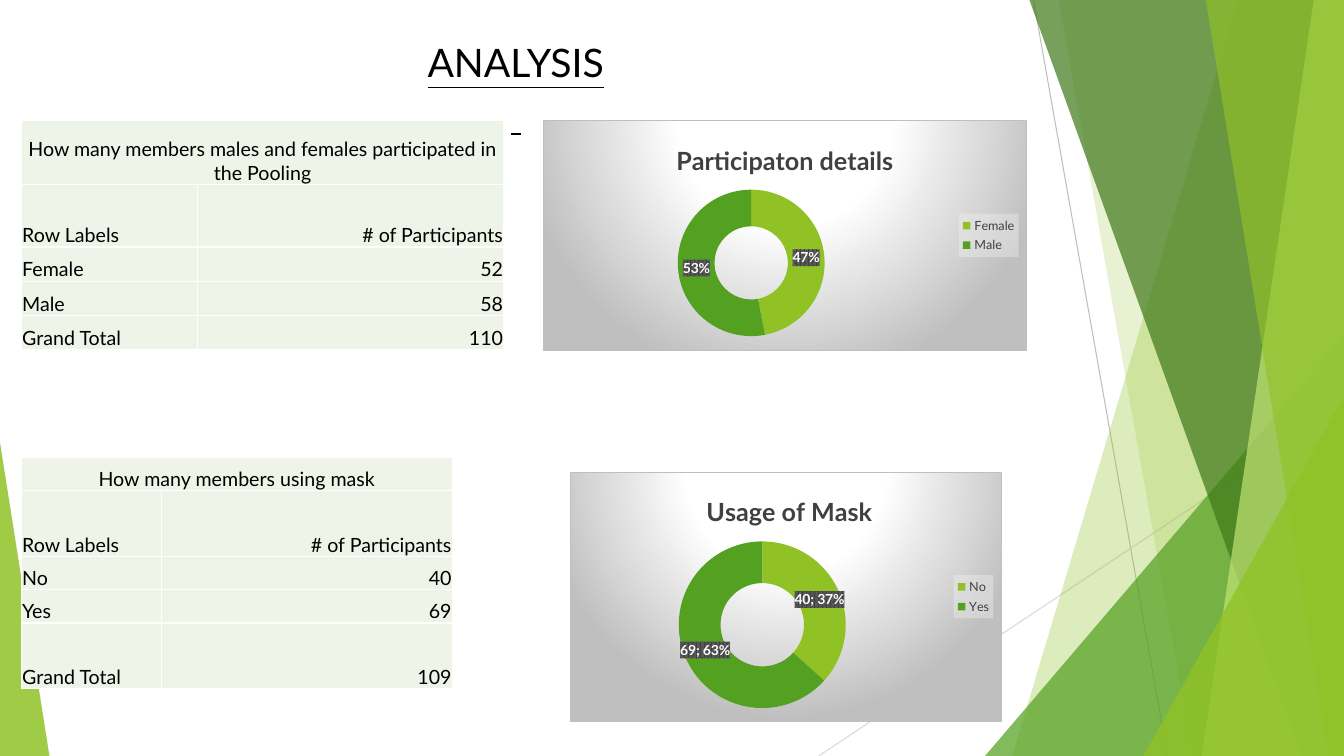
from lxml import etree
from pptx import Presentation
from pptx.chart.data import CategoryChartData
from pptx.dml.color import RGBColor
from pptx.enum.chart import XL_CHART_TYPE, XL_LEGEND_POSITION
from pptx.enum.shapes import MSO_CONNECTOR, MSO_SHAPE
from pptx.enum.text import MSO_ANCHOR, PP_ALIGN
from pptx.oxml import parse_xml
from pptx.oxml.ns import qn
from pptx.util import Inches, Pt

DOUGHNUT = XL_CHART_TYPE.DOUGHNUT
LEGEND_RIGHT = XL_LEGEND_POSITION.RIGHT
STRAIGHT = MSO_CONNECTOR.STRAIGHT
TRIANGLE = MSO_SHAPE.ISOSCELES_TRIANGLE
TOP, BOTTOM = MSO_ANCHOR.TOP, MSO_ANCHOR.BOTTOM
LEFT, CENTER, RIGHT = PP_ALIGN.LEFT, PP_ALIGN.CENTER, PP_ALIGN.RIGHT

FONT = "Lato"
BLACK = RGBColor(0x00, 0x00, 0x00)
WHITE = RGBColor(0xFF, 0xFF, 0xFF)
CHARCOAL = RGBColor(0x40, 0x40, 0x40)
SILVER = RGBColor(0xBF, 0xBF, 0xBF)
PALE_GREY = RGBColor(0xD9, 0xD9, 0xD9)
LIME = RGBColor(0x90, 0xC2, 0x26)
LIGHT_LIME = RGBColor(0xC0, 0xE4, 0x74)
GREEN = RGBColor(0x54, 0xA0, 0x21)
DARK_GREEN = RGBColor(0x3F, 0x78, 0x19)
MINT = RGBColor(0xEE, 0xF4, 0xE8)

WIDTH, HEIGHT = 13.33, 7.5
NAMESPACES = (
    'xmlns:a="http://schemas.openxmlformats.org/drawingml/2006/main" '
    'xmlns:c="http://schemas.openxmlformats.org/drawingml/2006/chart"'
)
CHART_BACKGROUND = f"""<c:spPr {NAMESPACES}><a:gradFill><a:gsLst>
<a:gs pos="0"><a:srgbClr val="{WHITE}"/></a:gs>
<a:gs pos="39000"><a:srgbClr val="{WHITE}"/></a:gs>
<a:gs pos="100000"><a:srgbClr val="{SILVER}"/></a:gs></a:gsLst>
<a:path path="circle"><a:fillToRect l="50000" t="-80000" r="50000" b="180000"/></a:path>
</a:gradFill><a:ln w="9525"><a:solidFill><a:srgbClr val="{SILVER}"/></a:solidFill></a:ln></c:spPr>"""
LABEL_BACKGROUND = f"""<c:spPr {NAMESPACES}><a:pattFill prst="pct75">
<a:fgClr><a:srgbClr val="{CHARCOAL}"/></a:fgClr><a:bgClr><a:srgbClr val="595959"/></a:bgClr>
</a:pattFill><a:ln><a:noFill/></a:ln></c:spPr>"""
LEGEND_BACKGROUND = f"""<c:spPr {NAMESPACES}><a:solidFill><a:srgbClr val="F2F2F2">
<a:alpha val="39000"/></a:srgbClr></a:solidFill></c:spPr>"""


def style_font(font, size, color=BLACK, bold=False, underline=False):
    font.name, font.size = FONT, Pt(size)
    font.bold, font.underline = bold, underline
    font.color.rgb = color


def write(frame, text, size=14, align=LEFT, **style):
    paragraph = frame.paragraphs[0]
    paragraph.alignment = align
    run = paragraph.add_run()
    run.text = text
    style_font(run.font, size, **style)


def draw_line(slide, start, end, color, width):
    line = slide.shapes.add_connector(STRAIGHT, *(Inches(v) for v in start + end))
    line.line.color.rgb = color
    line.line.width = Pt(width)
    etree.SubElement(line._element.spPr, qn("a:effectLst"))


def paint(facet, color, opacity):
    facet.shadow.inherit = False
    facet.line.fill.background()
    facet.fill.solid()
    facet.fill.fore_color.rgb = color
    tint = facet._element.spPr.find(qn("a:solidFill"))[0]
    etree.SubElement(tint, qn("a:alpha")).set("val", str(opacity * 1000))


def add_band(slide, top_x, bottom_x, color, opacity):
    outline = slide.shapes.build_freeform(Inches(top_x), 0)
    corners = [(WIDTH, 0), (WIDTH, HEIGHT), (bottom_x, HEIGHT)]
    outline.add_line_segments([(Inches(x), Inches(y)) for x, y in corners])
    paint(outline.convert_to_shape(), color, opacity)


def add_wedge(slide, left, top, width, apex, color, opacity):
    box = (left, top, width, HEIGHT - top)
    wedge = slide.shapes.add_shape(TRIANGLE, *(Inches(v) for v in box))
    wedge.adjustments[0] = apex
    paint(wedge, color, opacity)


def add_backdrop(slide):
    draw_line(slide, (10.25, 0), (11.58, HEIGHT), SILVER, 0.75)
    draw_line(slide, (WIDTH, 4.03), (8.12, HEIGHT), PALE_GREY, 0.75)
    add_band(slide, 12.28, 10.04, LIME, 30)
    add_band(slide, 10.5, 11.83, LIME, 20)
    add_wedge(slide, 9.77, 3.33, 3.56, 1, GREEN, 72)
    add_band(slide, 10.21, 12.91, DARK_GREEN, 70)
    add_band(slide, 13.03, 11.92, LIGHT_LIME, 70)
    add_band(slide, 11.96, 13.18, LIME, 65)
    add_wedge(slide, 11.34, 3.93, 1.99, 1, LIME, 80)
    add_wedge(slide, 0, 4.39, 0.49, 0, LIME, 85)


def add_heading(slide, left, top, width, height):
    title = slide.shapes.title
    title.left, title.top = Inches(left), Inches(top)
    title.width, title.height = Inches(width), Inches(height)
    title.text_frame.vertical_anchor = TOP
    write(title.text_frame, "ANALYSIS", 28, CENTER, underline=True)
    middle = left + width / 2
    draw_line(slide, (middle - 0.05, top + 1), (middle + 0.05, top + 1), BLACK, 1.5)


def style_cell(cell):
    cell.fill.solid()
    cell.fill.fore_color.rgb = MINT
    cell.vertical_anchor = BOTTOM
    cell.margin_left = cell.margin_right = cell.margin_top = Inches(0.01)
    cell.margin_bottom = 0
    properties = cell._tc.get_or_add_tcPr()
    for index, side in enumerate(("lnL", "lnR", "lnT", "lnB")):
        properties.insert(index, parse_xml(
            f'<a:{side} {NAMESPACES} w="12700"><a:solidFill>'
            f'<a:srgbClr val="{WHITE}"/></a:solidFill></a:{side}>'))


def add_counts_table(slide, left, top, columns, heights, question, counts):
    box = (left, top, sum(columns), sum(heights))
    table = slide.shapes.add_table(
        len(heights), len(columns), *(Inches(v) for v in box)).table
    for column, width in zip(table.columns, columns):
        column.width = Inches(width)
    for row, height in zip(table.rows, heights):
        row.height = Inches(height)
    for cell in table.iter_cells():
        style_cell(cell)
    table.cell(0, 0).merge(table.cell(0, 1))
    write(table.cell(0, 0).text_frame, question, align=CENTER)
    total = ("Grand Total", sum(counts.values()))
    entries = [("Row Labels", "# of Participants"), *counts.items(), total]
    for row, (label, value) in enumerate(entries, 1):
        write(table.cell(row, 0).text_frame, label)
        write(table.cell(row, 1).text_frame, str(value), align=RIGHT)


def set_layout(part, index, target="", **fractions):
    for existing in part.findall(qn("c:layout")):
        part.remove(existing)
    modes = "".join(f'<c:{axis}Mode val="edge"/>' for axis in "xy")
    values = "".join(f'<c:{key} val="{v:.4f}"/>' for key, v in fractions.items())
    part.insert(index, parse_xml(
        f"<c:layout {NAMESPACES}><c:manualLayout>{target}{modes}{values}"
        "</c:manualLayout></c:layout>"))


def add_share_chart(slide, left, top, width, height, heading, shares,
                    heading_left, ring_left, ring_size, show_value):
    data = CategoryChartData()
    data.categories = list(shares)
    data.add_series("Series 1", list(shares.values()))
    box = (left, top, width, height)
    chart = slide.shapes.add_chart(DOUGHNUT, *(Inches(v) for v in box), data).chart
    style_font(chart.font, 10)
    chart._chartSpace.find(qn("c:txPr")).addprevious(parse_xml(CHART_BACKGROUND))

    chart.has_title = True
    write(chart.chart_title.text_frame, heading, 18, CENTER, color=CHARCOAL, bold=True)
    set_layout(chart.chart_title._element, 1, x=heading_left / width, y=0.17 / height)
    set_layout(chart._chartSpace.chart.plotArea, 0, '<c:layoutTarget val="inner"/>',
               x=ring_left / width, y=0.69 / height,
               w=ring_size / width, h=ring_size / height)

    chart.has_legend = True
    chart.legend.position = LEGEND_RIGHT
    chart.legend.include_in_layout = False
    style_font(chart.legend.font, 9, CHARCOAL)
    chart.legend._element.find(qn("c:txPr")).addprevious(parse_xml(LEGEND_BACKGROUND))

    plot = chart.plots[0]
    plot.vary_by_categories = True
    series = plot.series[0]
    for index, color in enumerate((LIME, GREEN)):
        ring_part = series.points[index].format
        ring_part.fill.solid()
        ring_part.fill.fore_color.rgb = color
        ring_part.line.fill.background()
    labels = series.data_labels
    style_font(labels.font, 10, WHITE, bold=True)
    labels.show_value = show_value
    labels.show_percentage = True
    labels._element.find(qn("c:txPr")).addprevious(parse_xml(LABEL_BACKGROUND))
    labels._element.find(qn("c:showBubbleSize")).addnext(
        parse_xml(f"<c:separator {NAMESPACES}>; </c:separator>"))


def main():
    deck = Presentation()
    deck.slide_width, deck.slide_height = Inches(WIDTH), Inches(HEIGHT)
    slide = deck.slides.add_slide(deck.slide_layouts[5])
    add_backdrop(slide)
    add_heading(slide, 0.21, 0.33, 9.81, 1.04)
    add_counts_table(slide, 0.21, 1.19, (1.75, 3.04), (0.64, 0.62, 0.34, 0.34, 0.34),
                     "How many members males and females participated in the Pooling",
                     {"Female": 52, "Male": 58})
    add_share_chart(slide, 5.39, 1.19, 4.8, 2.29, "Participaton details",
                    {"Female": 47, "Male": 53}, 1.27, 1.33, 1.46, False)
    mask_counts = {"No": 40, "Yes": 69}
    add_counts_table(slide, 0.21, 4.54, (1.39, 2.89), (0.33, 0.65, 0.33, 0.33, 0.65),
                     "How many members using mask", mask_counts)
    add_share_chart(slide, 5.65, 4.68, 4.29, 2.48, "Usage of Mask",
                    mask_counts, 1.31, 1.08, 1.66, True)
    deck.save("out.pptx")


if __name__ == "__main__":
    main()
